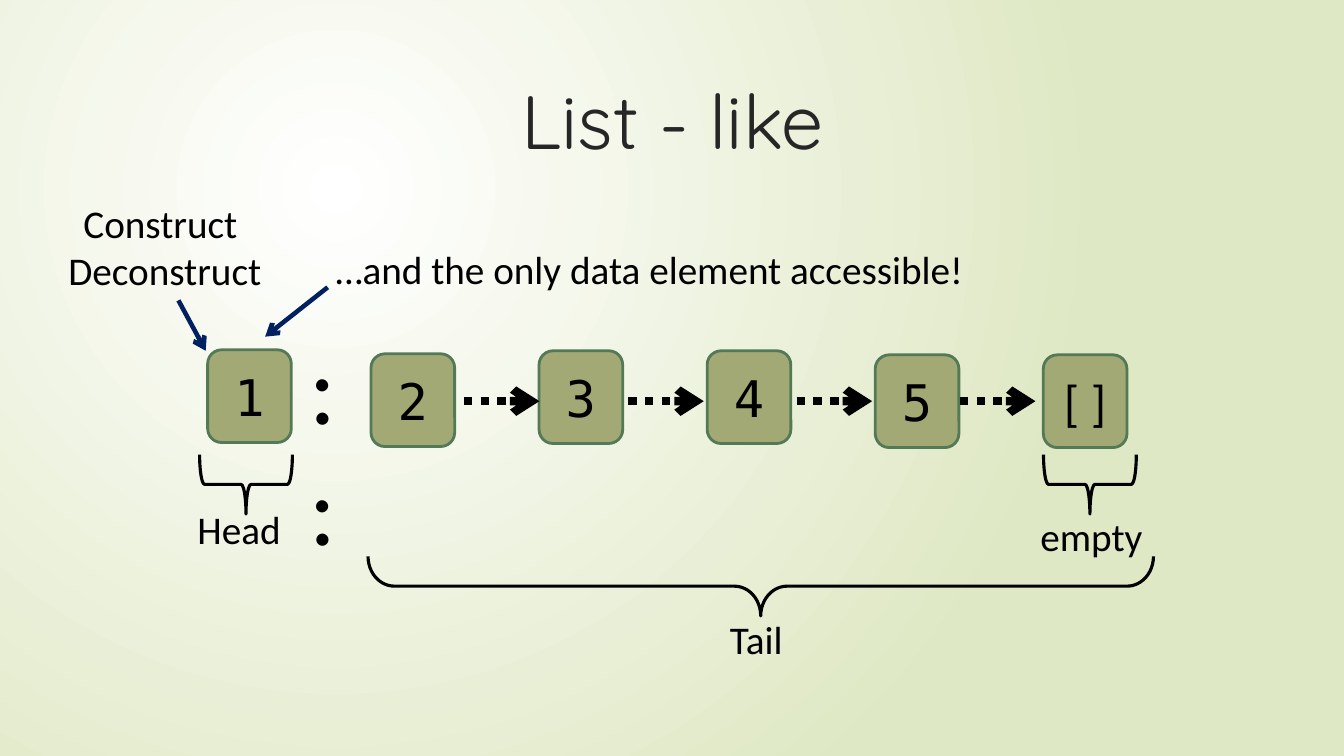
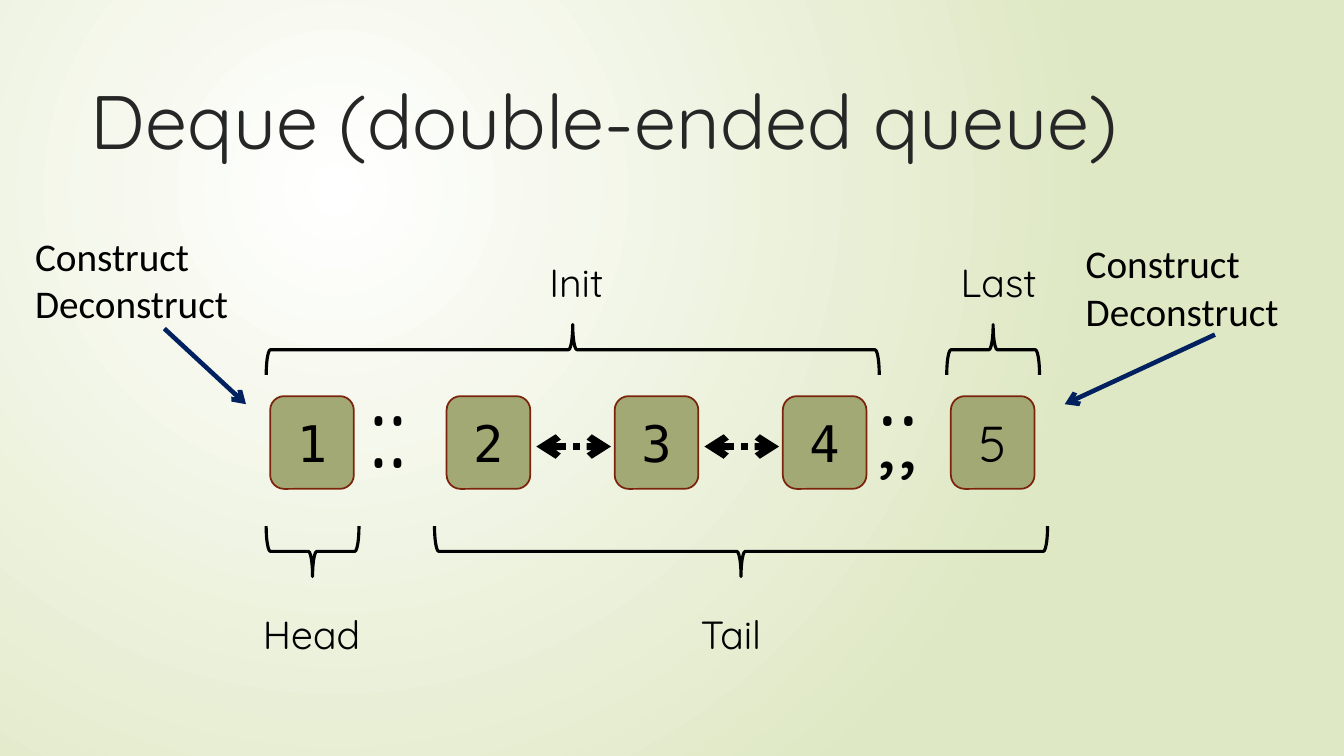
"""Two slides on how a list and a deque are taken apart."""
from dataclasses import dataclass

from lxml.etree import SubElement
from pptx import Presentation
from pptx.dml.color import RGBColor as RGB
from pptx.enum.dml import MSO_LINE
from pptx.enum.shapes import MSO_CONNECTOR as LINK, MSO_SHAPE as SHAPE
from pptx.enum.text import MSO_ANCHOR as ANCHOR, PP_ALIGN as ALIGN
from pptx.oxml.ns import qn
from pptx.util import Inches, Pt


@dataclass(frozen=True)
class Theme:
    """Colours, fonts and sizes shared by the slides."""
    glow: RGB = RGB.from_string("FFFFFF")
    edge: RGB = RGB.from_string("DFE8C4")
    heading: RGB = RGB.from_string("262626")
    ink: RGB = RGB.from_string("000000")
    pointer: RGB = RGB.from_string("002060")
    cell: RGB = RGB.from_string("A2A975")
    green: RGB = RGB.from_string("547957")
    brown: RGB = RGB.from_string("7A240C")
    display: str = "Quicksand"
    body: str = "Calibri"
    mono: str = "DejaVu Sans Mono"
    title_size: int = 54
    label_size: int = 28
    cell_size: int = 36
    mark_size: int = 72
    pointer_width: float = 3.25
    brace_width: float = 2.25


THEME = Theme()
CELL_WIDTH, CELL_HEIGHT, CELL_PITCH = 0.83, 0.92, 1.667


def inches(*lengths):
    """Turn numbers into lengths."""
    return [Inches(length) for length in lengths]


def style_text(frame, font, size, color=THEME.ink, align=ALIGN.LEFT):
    """Format every run of a text frame."""
    for para in frame.paragraphs:
        para.alignment = align
        for span in para.runs:
            span.font.name = font
            span.font.size = Pt(size)
            span.font.color.rgb = color


def paint_background(deck):
    """Give the master a round gradient."""
    master = deck.slide_master
    fill = master.background.fill
    fill.gradient()
    for stop, color, position in zip(fill.gradient_stops, (THEME.glow, THEME.edge), (0, 1)):
        stop.color.rgb = color
        stop.position = position
    gradient = master.element.find(".//" + qn("a:gradFill"))
    gradient.remove(gradient.find(qn("a:lin")))
    circle = SubElement(gradient, qn("a:path"), path="circle")
    SubElement(circle, qn("a:fillToRect"), l="50000", t="50000", r="100000", b="100000")


def add_page(deck, title, align):
    """Add a slide with a styled title."""
    page = deck.slides.add_slide(deck.slide_layouts[5])
    box = page.shapes.title
    box.left, box.top, box.width, box.height = inches(0.8, 0.68, 11.74, 1.4)
    frame = box.text_frame
    frame.text = title
    frame.vertical_anchor = ANCHOR.TOP
    style_text(frame, THEME.display, THEME.title_size, THEME.heading, align)
    return page


def add_label(page, text, left, top, width, height=0.57, font=THEME.body,
              size=THEME.label_size, align=ALIGN.LEFT):
    """Add free text."""
    frame = page.shapes.add_textbox(*inches(left, top, width, height)).text_frame
    frame.word_wrap = True
    frame.text = text
    style_text(frame, font, size, align=align)


def add_cell(page, text, left, top, border, border_width, font=THEME.mono):
    """Add a rounded list cell holding its value."""
    box = page.shapes.add_shape(SHAPE.ROUNDED_RECTANGLE,
                                *inches(left, top, CELL_WIDTH, CELL_HEIGHT))
    box.shadow.inherit = False
    box.fill.solid()
    box.fill.fore_color.rgb = THEME.cell
    box.line.color.rgb = border
    box.line.width = Pt(border_width)
    frame = box.text_frame
    frame.margin_left = frame.margin_right = frame.margin_top = frame.margin_bottom = 0
    frame.word_wrap = False
    frame.vertical_anchor = ANCHOR.MIDDLE
    frame.text = text
    style_text(frame, font, THEME.cell_size, align=ALIGN.CENTER)


def add_brace(page, left, top, span, depth, upward=False, curve=None):
    """Add a horizontal brace, given the area it covers once turned."""
    box = page.shapes.add_shape(SHAPE.LEFT_BRACE, *inches(
        left + (span - depth) / 2, top + (depth - span) / 2, depth, span))
    box.rotation = 90 if upward else 270
    box.shadow.inherit = False
    box.fill.background()
    box.line.color.rgb = THEME.ink
    box.line.width = Pt(THEME.brace_width)
    if curve is not None:
        box.adjustments[0] = curve


def add_arrow(page, start, end, color=THEME.pointer, width=THEME.pointer_width,
              dotted=False, both=False):
    """Add a straight arrow, with a head at one end or both."""
    link = page.shapes.add_connector(LINK.STRAIGHT, *inches(*start, *end))
    link.line.color.rgb = color
    link.line.width = Pt(width)
    if dotted:
        link.line.dash_style = MSO_LINE.ROUND_DOT
    outline = link.line._get_or_add_ln()
    for tag in ("a:headEnd", "a:tailEnd") if both else ("a:tailEnd",):
        SubElement(outline, qn(tag), type="arrow")
    SubElement(link.element.spPr, qn("a:effectLst"))


def build_list(deck):
    """Show a list split into head and tail."""
    page = add_page(deck, "List - like", ALIGN.CENTER)
    add_cell(page, "1", 2.06, 3.47, THEME.green, 2)
    tail = (("2", 3.51), ("3", 3.48), ("4", 3.48), ("5", 3.52), ("[ ]", 3.52))
    for index, (value, top) in enumerate(tail):
        font = THEME.body if value == "[ ]" else THEME.mono
        add_cell(page, value, 3.68 + index * CELL_PITCH, top, THEME.green, 2, font)
    for left in (4.6, 6.23, 7.9, 9.52):
        add_arrow(page, (left, 3.98), (left + 0.75, 3.98), THEME.ink, 6, dotted=True)
    add_label(page, "::", 2.97, 3.16, 0.67, 1.31, size=THEME.mark_size)

    add_brace(page, 1.98, 4.51, 0.92, 0.59)
    add_brace(page, 10.35, 4.51, 0.92, 0.59)
    add_brace(page, 3.65, 5.52, 7.79, 0.59, curve=0.443)
    add_label(page, "Head", 1.86, 4.96, 1.1)
    add_label(page, "empty", 10.22, 5.03, 1.22)
    add_label(page, "Tail", 7.14, 6.06, 0.86)

    add_label(page, "Construct \nDeconstruct", 0.26, 1.93, 2.75, 1.04, align=ALIGN.CENTER)
    add_label(page, "…and the only data element accessible!", 3.23, 2.38, 7.05)
    add_arrow(page, (1.77, 2.98), (2.04, 3.48))
    add_arrow(page, (3.25, 2.85), (2.63, 3.34))


def build_deque(deck):
    """Show a deque split from either end."""
    page = add_page(deck, "Deque (double-ended queue)", ALIGN.LEFT)
    add_cell(page, "1", 2.68, 3.93, THEME.brown, 1.25)
    for index, value in enumerate("2345"):
        font = THEME.display if value == "5" else THEME.mono
        add_cell(page, value, 4.43 + index * CELL_PITCH, 3.93, THEME.brown, 1.25, font)
    for left in (5.32, 5.32 + CELL_PITCH):
        add_arrow(page, (left, 4.43), (left + 0.74, 4.43), THEME.ink, 5,
                  dotted=True, both=True)
    for mark, left in (("::", 3.57), (";;", 8.6)):
        add_label(page, mark, left, 3.6, 0.77, 1.31, THEME.display, THEME.mark_size)

    for left, span, upward in ((2.64, 0.92, False), (4.31, 6.08, False),
                               (2.64, 6.08, True), (9.39, 0.92, True)):
        add_brace(page, left, 3.22 if upward else 5.22, span, 0.5, upward)
    for text, left, top, width in (("Head", 2.51, 6.01, 1.26), ("Tail", 6.85, 6.01, 1.08),
                                   ("Init", 5.35, 2.51, 1.08), ("Last", 9.43, 2.51, 1.08)):
        add_label(page, text, left, top, width, font=THEME.display)

    for left, top, start, end in ((0.25, 2.26, (1.63, 3.26), (2.44, 4.01)),
                                  (10.67, 2.33, (12.05, 3.32), (10.56, 4.01))):
        add_label(page, "Construct\nDeconstruct", left, top, 2.41, 1.04)
        add_arrow(page, start, end)


def main():
    """Build and save the deck."""
    deck = Presentation()
    deck.slide_width, deck.slide_height = inches(13.33, 7.5)
    paint_background(deck)
    build_list(deck)
    build_deque(deck)
    deck.save("out.pptx")


if __name__ == "__main__":
    main()
